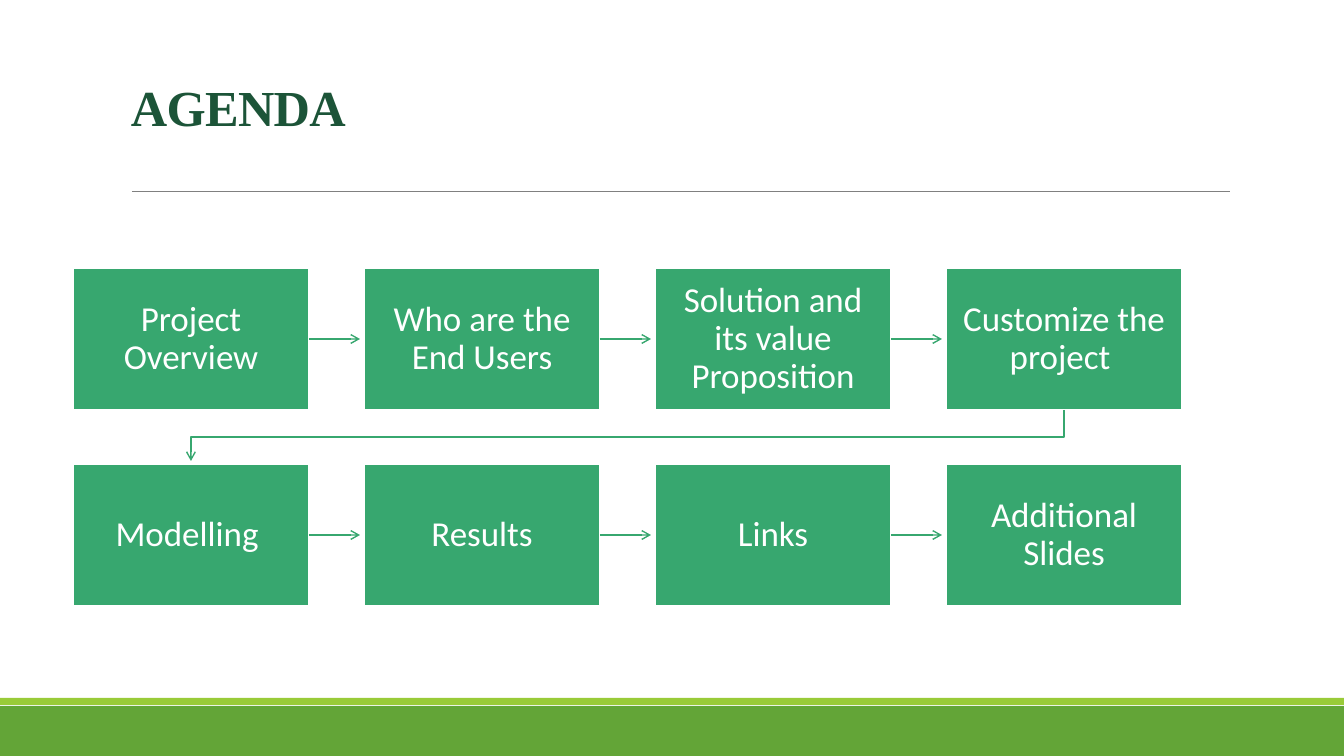
"""Build the agenda slide: a title above eight steps joined by arrows."""
from lxml.etree import SubElement
from pptx import Presentation
from pptx.dml.color import RGBColor
from pptx.enum.shapes import MSO_CONNECTOR as Connector, MSO_SHAPE as Shape
from pptx.enum.text import MSO_ANCHOR as Anchor, PP_ALIGN as Align
from pptx.oxml.ns import qn
from pptx.util import Emu, Pt

PIXEL = 914400 / 100.8


def px(length):
    return Emu(round(length * PIXEL))


def color(code):
    return RGBColor.from_string(code)


class AgendaSlide:
    green, white, heading, rule_gray = "37A76F", "FFFFFF", "1C5438", "808080"
    body_font, title_font = "Calibri", "Times New Roman"

    def __init__(self, deck):
        self.slide = deck.slides.add_slide(deck.slide_layouts[6])
        self.shapes = self.slide.shapes

    def stroke(self, shape, code, points, arrow=False):
        shape.line.color.rgb = color(code)
        shape.line.width = Pt(points)
        if arrow:
            outline = shape._element.spPr.find(qn("a:ln"))
            SubElement(outline, qn("a:tailEnd"), type="arrow")

    def add_words(self, shape, words, font, size, code, spacing):
        frame = shape.text_frame
        frame.word_wrap = True
        frame.vertical_anchor = Anchor.MIDDLE
        paragraph = frame.paragraphs[0]
        paragraph.line_spacing = spacing
        run = paragraph.add_run()
        run.text = words
        run.font.name = font
        run.font.size = Pt(size)
        run.font.color.rgb = color(code)
        return paragraph, run

    def rect(self, left, top, width, height, fill):
        block = self.shapes.add_shape(
            Shape.RECTANGLE, px(left), px(top), px(width), px(height))
        block.shadow.inherit = False
        block.fill.solid()
        block.fill.fore_color.rgb = color(fill)
        block.line.fill.background()
        return block

    def title(self, words, left, top, width, height):
        box = self.shapes.add_textbox(px(left), px(top), px(width), px(height))
        _, run = self.add_words(box, words, self.title_font, 36, self.heading, 0.85)
        run.font.bold = True
        run._r.get_or_add_rPr().set("spc", "-50")

    def step(self, words, left, top, width, height):
        block = self.rect(left, top, width, height, self.green)
        self.stroke(block, self.white, 1.25)
        frame = block.text_frame
        frame.margin_left = frame.margin_right = px(11)
        frame.margin_top = frame.margin_bottom = px(12)
        paragraph, _ = self.add_words(
            block, words, self.body_font, 25, self.white, 0.9)
        paragraph.alignment = Align.CENTER

    def line(self, start, end, code, points, arrow=False):
        link = self.shapes.add_connector(
            Connector.STRAIGHT, *(px(value) for value in (*start, *end)))
        self.stroke(link, code, points, arrow)
        SubElement(link._element.spPr, qn("a:effectLst"))

    def bent_arrow(self, start, *corners):
        builder = self.shapes.build_freeform(*start, scale=PIXEL)
        builder.add_line_segments(corners, close=False)
        bend = builder.convert_to_shape()
        bend.shadow.inherit = False
        bend.fill.background()
        self.stroke(bend, self.green, 1, arrow=True)


deck = Presentation()
deck.slide_width, deck.slide_height = px(1344), px(756)
agenda = AgendaSlide(deck)

agenda.rect(0, 706, 1344, 50, "63A537")
agenda.rect(0, 698, 1344, 7, "99CB38")
agenda.line((132, 191), (1230, 191), agenda.rule_gray, 0.5)
agenda.title("AGENDA", 121, 31, 1109, 160)

STEPS = [
    ["Project Overview", "Who are the End Users",
     "Solution and its value Proposition", "Customize the project "],
    ["Modelling ", "Results", "Links", "Additional Slides"],
]
LEFT, TOP, WIDTH, HEIGHT = 73, 268, 236, 142
COLUMN_PITCH, ROW_PITCH, ARROW = 291, 196, 51

for row, names in enumerate(STEPS):
    top = TOP + row * ROW_PITCH
    middle = top + HEIGHT // 2
    for column, name in enumerate(names):
        left = LEFT + column * COLUMN_PITCH
        right = left + WIDTH
        agenda.step(name, left, top, WIDTH, HEIGHT)
        if column < len(names) - 1:
            agenda.line((right, middle), (right + ARROW, middle),
                        agenda.green, 1, arrow=True)

first_center = LEFT + WIDTH // 2
last_center = first_center + 3 * COLUMN_PITCH
row_end = TOP + HEIGHT
turn = row_end + (ROW_PITCH - HEIGHT) // 2
agenda.bent_arrow((last_center, row_end), (last_center, turn),
                  (first_center, turn), (first_center, row_end + ARROW))

deck.save("out.pptx")
